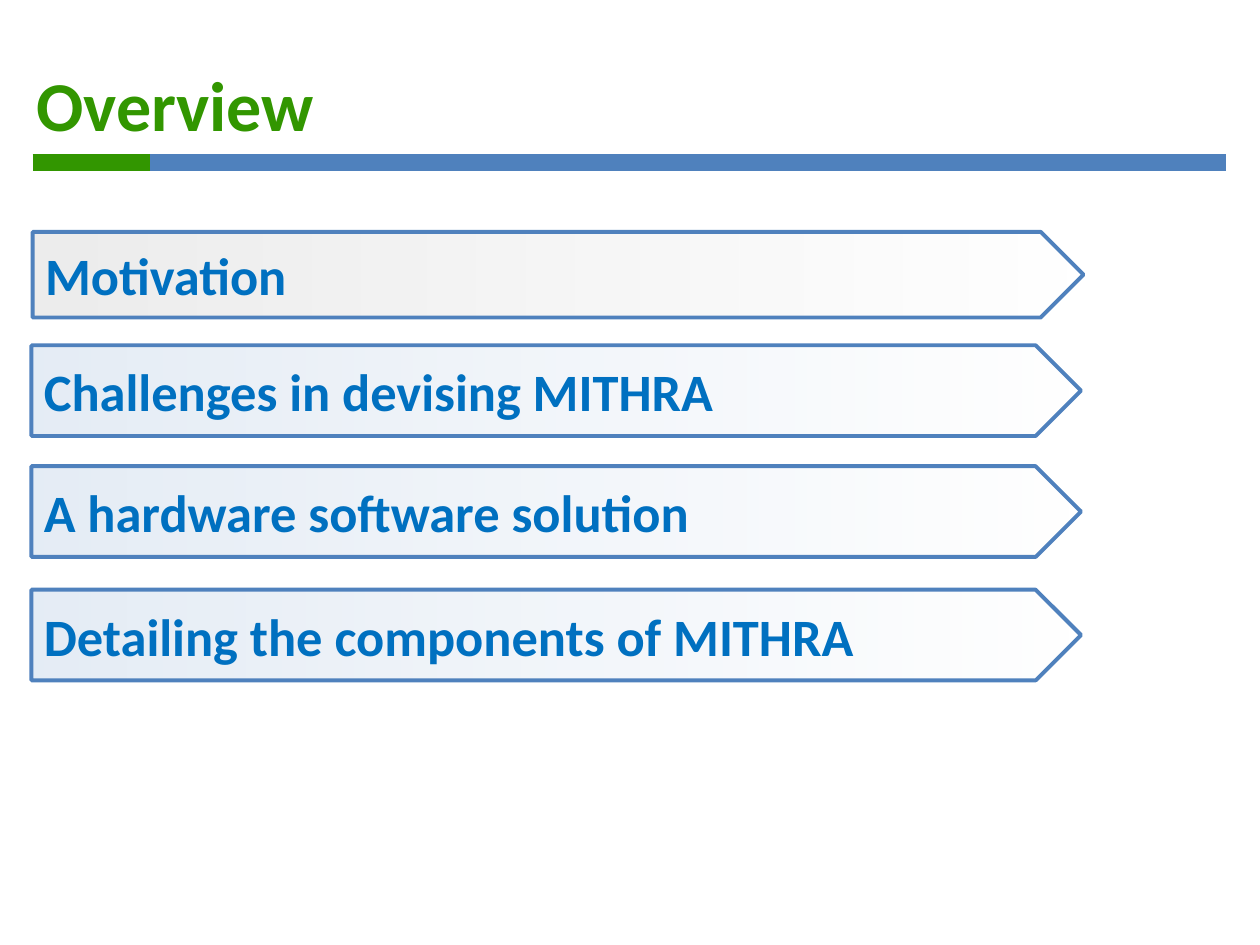
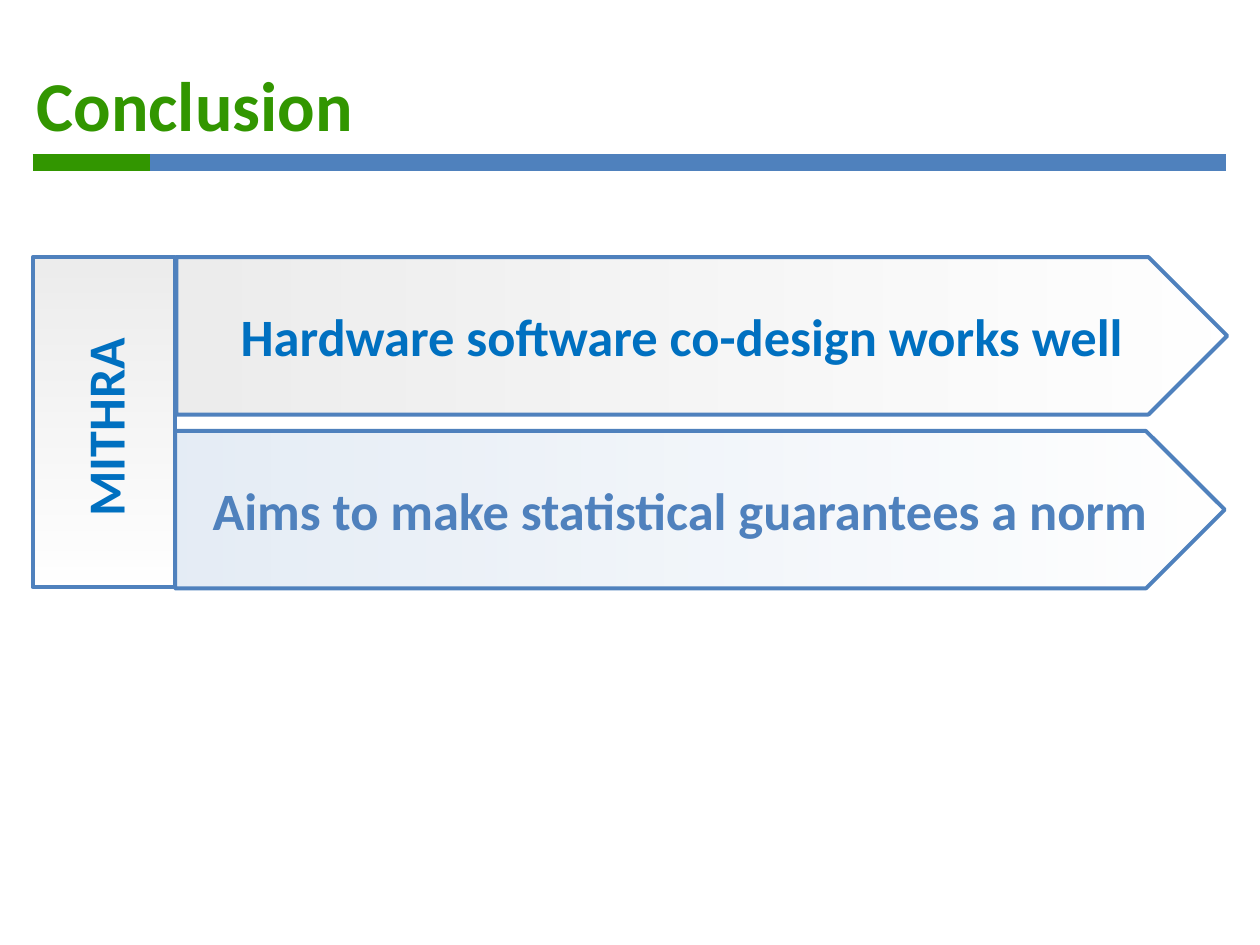
from collections import namedtuple

from lxml.etree import SubElement
from pptx import Presentation
from pptx.dml.color import RGBColor
from pptx.enum.shapes import MSO_CONNECTOR, MSO_SHAPE as SHAPE
from pptx.enum.text import MSO_ANCHOR as ANCHOR, PP_ALIGN as ALIGN
from pptx.oxml.ns import qn
from pptx.util import Inches, Pt

BLUE = RGBColor(0x4F, 0x81, 0xBD)
TEXT_BLUE = RGBColor(0x00, 0x70, 0xC0)
GREEN = RGBColor(0x32, 0x96, 0x00)
GRAY = RGBColor(0x80, 0x80, 0x80)
WHITE = RGBColor(0xFF, 0xFF, 0xFF)
FONT = "Calibri"

# The slide is a grid of 100 columns by 75 rows; every Box is measured in cells.
COLS, ROWS = 100, 75
CELL = Inches(0.1)
Box = namedtuple("Box", "x y w h")

HEADER = Box(2.6, 4.1, 94.9, 8.2)
AGENDA = Box(2.5, 18.4, 83.4, 35.6)
SUMMARY = Box(2.6, 20.4, 94.8, 26.3)


def emu(*cells):
    return [round(c * CELL) for c in cells]


def style_text(shape, size, color, align=ALIGN.LEFT):
    tf = shape.text_frame
    tf.vertical_anchor = ANCHOR.MIDDLE
    for p in tf.paragraphs:
        p.alignment = align
        for r in p.runs:
            r.font.name, r.font.size, r.font.bold = FONT, Pt(size), True
            r.font.color.rgb = color


def fade(shape, start, end, angle=0):
    """Fill with a pale two-colour gradient, 15 % opaque."""
    shape.fill.gradient()
    shape.fill.gradient_angle = angle
    for stop, color, position in zip(shape.fill.gradient_stops, (start, end), (0, 1)):
        stop.color.rgb = color
        stop.position = position
    gradient = shape._element.spPr.find(qn("a:gradFill"))
    for rgb in gradient.iter(qn("a:srgbClr")):
        SubElement(rgb, qn("a:alpha"), val="15000")


def add_outlined(slide, kind, box):
    sp = slide.shapes.add_shape(kind, *emu(*box))
    sp.shadow.inherit = False
    sp.line.color.rgb = BLUE
    sp.line.width = Pt(2.25)
    return sp


def add_banner(slide, box, text, tint, color=TEXT_BLUE, align=ALIGN.LEFT):
    sp = add_outlined(slide, SHAPE.PENTAGON, box)
    fade(sp, tint, WHITE)
    sp.text_frame.text = text
    style_text(sp, 30, color, align)


def add_rule(slide, x1, x2, y, color):
    line = slide.shapes.add_connector(MSO_CONNECTOR.STRAIGHT, *emu(x1, y, x2, y))
    line.line.color.rgb = color
    line.line.width = Pt(10)
    SubElement(line._element.spPr, qn("a:effectLst"))


def add_header(slide, box, text):
    """Title with the two-colour rule below it."""
    rule_y, split = box.y + 8.8, box.x + 9.3
    add_rule(slide, split, box.x + 94.7, rule_y, BLUE)
    add_rule(slide, box.x, split, rule_y, GREEN)
    title = slide.shapes.title
    title.left, title.top, title.width, title.height = emu(*box)
    tf = title.text_frame
    tf.margin_left = tf.margin_right = tf.margin_top = tf.margin_bottom = Inches(0.03)
    tf.text = text
    style_text(title, 40, GREEN)


def add_agenda(slide, box, first, others):
    """A gray banner on top, then blue ones, each with its row offset."""
    add_banner(slide, Box(box.x + 0.1, box.y, box.w, 6.8), first, GRAY)
    for row, text in others:
        add_banner(slide, Box(box.x, box.y + row, box.w - 0.1, 7.2), text, BLUE)


def add_side_label(slide, box, text):
    """Column whose label reads from bottom to top."""
    column = add_outlined(slide, SHAPE.RECTANGLE, box)
    fade(column, WHITE, GRAY, angle=90)
    w, h = 16.3, 6
    middle_x, middle_y = box.x + box.w / 2, box.y + box.h / 2
    label = slide.shapes.add_textbox(*emu(middle_x - w / 2, middle_y - h / 2 + 0.4, w, h))
    label.rotation = 270
    label.text_frame.word_wrap = False
    label.text_frame.text = text
    style_text(label, 29.7, TEXT_BLUE, ALIGN.CENTER)


def add_summary(slide, box, label, top_text, bottom_text):
    side, height = 11.3, 12.5
    x, w = box.x + side, box.w - side
    add_banner(slide, Box(x, box.y + box.h - height, w - 0.2, height),
               bottom_text, BLUE, BLUE, ALIGN.CENTER)
    add_banner(slide, Box(x + 0.1, box.y, w - 0.1, height),
               top_text, GRAY, align=ALIGN.CENTER)
    add_side_label(slide, Box(box.x, box.y, side, box.h - 0.1), label)


def new_slide(prs, title):
    slide = prs.slides.add_slide(prs.slide_layouts.get_by_name("Title Only"))
    add_header(slide, HEADER, title)
    return slide


def main():
    prs = Presentation()
    prs.slide_width, prs.slide_height = emu(COLS, ROWS)
    add_agenda(new_slide(prs, "Overview"), AGENDA, "Motivation", [
        (9, "Challenges in devising MITHRA"),
        (18.6, "A hardware software solution"),
        (28.4, "Detailing the components of MITHRA"),
    ])
    add_summary(new_slide(prs, "Conclusion"), SUMMARY, "MITHRA",
                "Hardware software co-design works well",
                "Aims to make statistical guarantees a norm")
    prs.save("out.pptx")


if __name__ == "__main__":
    main()
